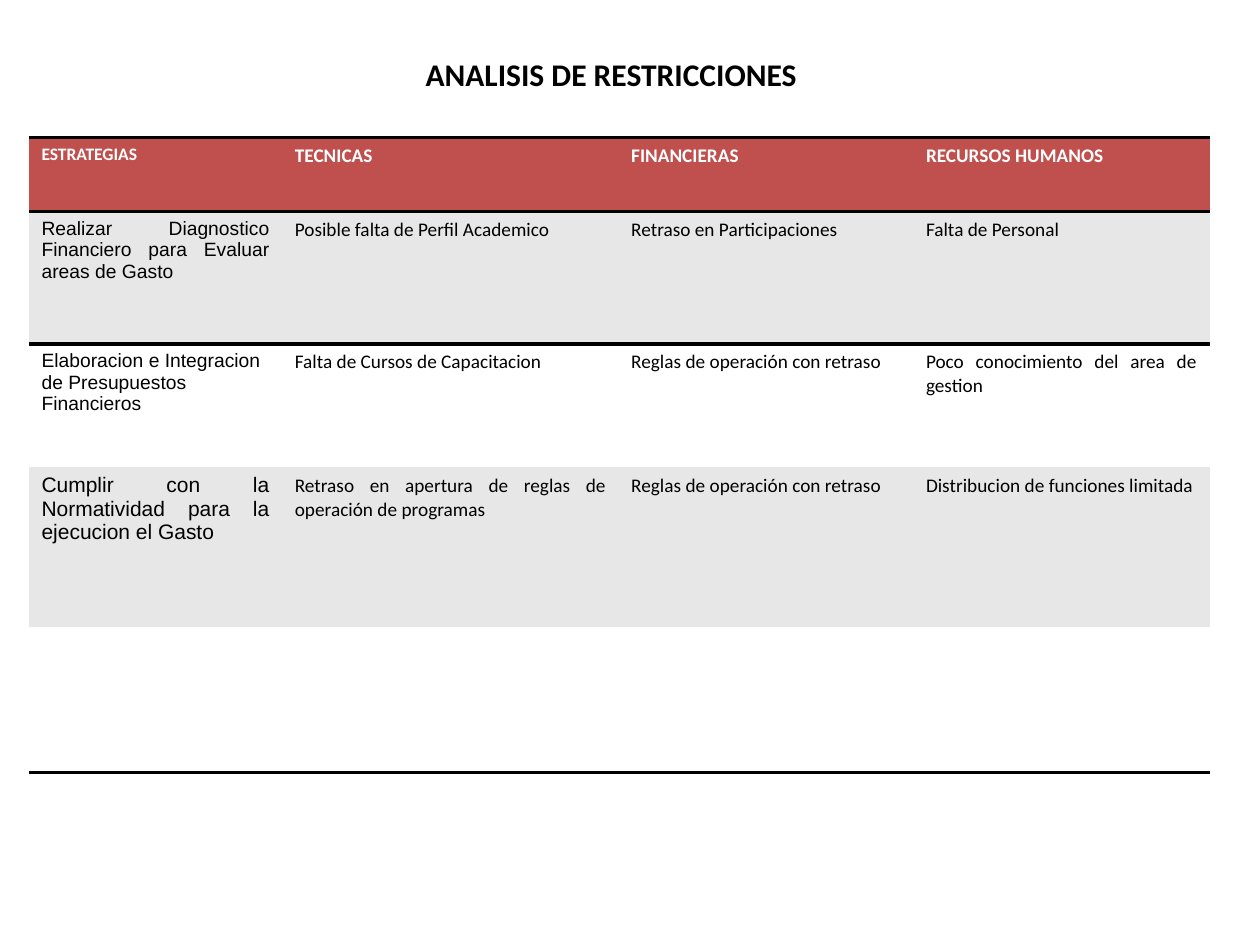
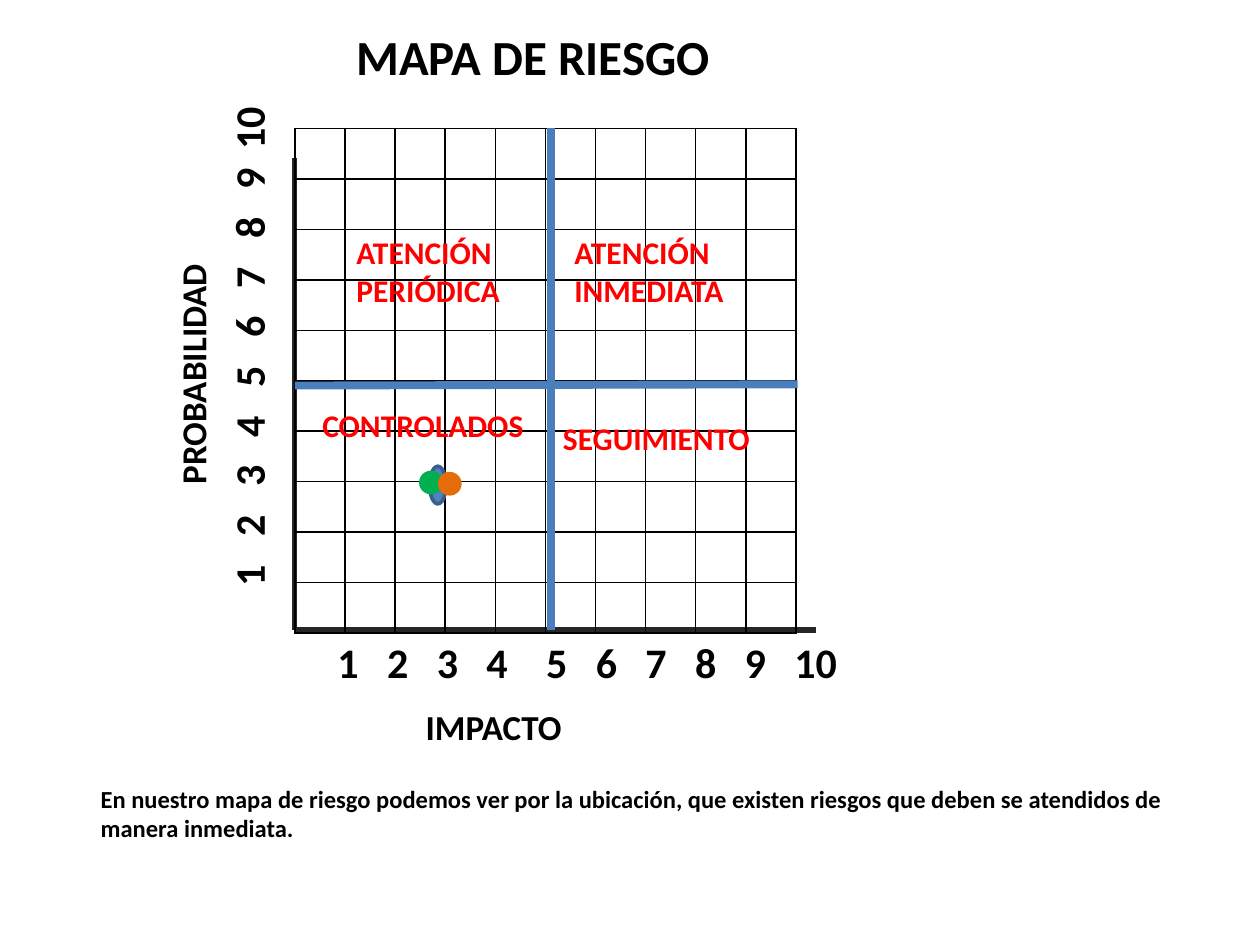
import pptx
import pptx.dml.color
import pptx.enum.shapes
import pptx.enum.text
import pptx.oxml
import pptx.oxml.ns
import pptx.util
import lxml.etree

INK = {
    "black": "000000", "white": "FFFFFF", "head": "C0504D", "band": "E7E7E7",
    "red": "FF0000", "axis": "262626", "cross": "4B7EBC", "blue": "4F81BD",
    "rim": "3A5F8C", "green": "00B050", "orange": "E46C0A",
}
RGB = {name: pptx.dml.color.RGBColor.from_string(code) for name, code in INK.items()}
NONE = "{2D5ABB26-0587-4C30-8999-92F81FD0307C}"
JUST = pptx.enum.text.PP_ALIGN.JUSTIFY
LEFT = pptx.enum.text.PP_ALIGN.LEFT
qn = pptx.oxml.ns.qn

deck = pptx.Presentation()
deck.slide_width = pptx.util.Inches(10)
deck.slide_height = pptx.util.Inches(7.5)
col = deck.slide_width / 100
row = deck.slide_height / 75


def write(text, cell=None, slide=None, at=None, size=18, font="Calibri",
          ink="black", bold=True, align=LEFT, turn=0, tabs=()):
    if cell is None:
        x, y, w, h = at
        box = slide.shapes.add_textbox(int(x * col), int(y * row), int(w * col), int(h * row))
        box.rotation = turn
        frame = box.text_frame
        frame.word_wrap = True
    else:
        frame = cell.text_frame
    for i, line in enumerate(text.split("\n")):
        para = frame.add_paragraph() if i else frame.paragraphs[0]
        para.alignment = align
        if tabs:
            stops = lxml.etree.SubElement(para._p.get_or_add_pPr(), qn("a:tabLst"))
            for stop in tabs:
                lxml.etree.SubElement(stops, qn("a:tab"), pos=str(int(stop * col)), algn="l")
        run = para.add_run()
        run.text = line
        run.font.name = font
        run.font.size = pptx.util.Pt(size)
        run.font.bold = bold
        run.font.color.rgb = RGB[ink]


def edge(cell, sides, width):
    props = cell._tc.get_or_add_tcPr()
    for side in sides:
        line = lxml.etree.SubElement(props, qn("a:ln" + side), w=str(pptx.util.Pt(width)))
        fill = lxml.etree.SubElement(line, qn("a:solidFill"))
        lxml.etree.SubElement(fill, qn("a:srgbClr"), val=INK["black"])


blank = deck.slide_layouts[6]

limits = deck.slides.add_slide(blank)
rows = [
    ["ESTRATEGIAS", "TECNICAS", "FINANCIERAS", "RECURSOS HUMANOS"],
    ["Realizar Diagnostico Financiero para Evaluar areas de Gasto",
     "Posible falta de Perfil Academico", "Retraso en Participaciones", "Falta de Personal"],
    ["Elaboracion e Integracion de Presupuestos Financieros",
     "Falta de Cursos de Capacitacion", "Reglas de operación con retraso",
     "Poco conocimiento del area de gestion"],
    ["Cumplir con la Normatividad para la ejecucion el Gasto",
     "Retraso en apertura de reglas de operación de programas",
     "Reglas de operación con retraso", "Distribucion de funciones limitada"],
    [""] * 4,
]
wide = [20.1, 26.7, 23.4, 23.5]
tall = [5.9, 10.5, 9.8, 12.7, 11.5]
sizes = {(0, 0): 10, (3, 0): 12}
plain = [(2, 0), (2, 1), (3, 3)]
table = limits.shapes.add_table(5, 4, int(2.3 * col), int(10.9 * row),
                                int(sum(wide) * col), int(sum(tall) * row)).table
table._tbl.tblPr[0].text = NONE
for c, w in enumerate(wide):
    table.columns[c].width = int(w * col)
for r, h in enumerate(tall):
    table.rows[r].height = int(h * row)
    for c, text in enumerate(rows[r]):
        cell = table.cell(r, c)
        edge(cell, {0: "TB", 1: "T", 4: "B"}.get(r, ""), 2)
        cell.fill.solid()
        cell.fill.fore_color.rgb = RGB["head" if r == 0 else "band" if r % 2 else "white"]
        if text:
            write(text, cell=cell, size=sizes.get((r, c), 11), bold=r == 0,
                  font="Arial" if r and c == 0 else "Calibri",
                  ink="black" if r else "white",
                  align=LEFT if r == 0 or (r, c) in plain else JUST)
write("ANALISIS DE RESTRICCIONES", slide=limits, at=(32.8, 3.9, 34, 4))

risk = deck.slides.add_slide(blank)
step = 4
left, top = 23.4, 10.2
axes = [(left, 12.5, left, 50), (left, 50, 64.8, 50)]
cross = [(43.7, top, 43.7, 50), (63.3, 30.5, left, 30.6)]


for lines, ink, width in [(axes, "axis", 3), (cross, "cross", 4.5)]:
    if ink == "cross":
        grid = risk.shapes.add_table(10, 10, int(left * col), int(top * row),
                                     int(10 * step * col), int(10 * step * row)).table
        grid._tbl.tblPr[0].text = NONE
        for n in range(10):
            grid.columns[n].width = int(3.98 * col)
            grid.rows[n].height = int(step * row)
        for cell in grid.iter_cells():
            edge(cell, "LRTB", 1)
            cell.fill.background()
        for x, y, w, h, fill, rim in [
            (34.1, 37, 1.3, 3, "blue", "rim"),
            (33.4, 37.5, 1.6, 1.6, "green", "green"),
            (34.9, 37.6, 1.6, 1.6, "orange", "orange"),
        ]:
            dot = risk.shapes.add_shape(pptx.enum.shapes.MSO_SHAPE.OVAL, int(x * col),
                                        int(y * row), int(w * col), int(h * row))
            dot.shadow.inherit = False
            dot.fill.solid()
            dot.fill.fore_color.rgb = RGB[fill]
            dot.line.color.rgb = RGB[rim]
            dot.line.width = pptx.util.Pt(2)
    for x, y, far, low in lines:
        line = risk.shapes.add_connector(pptx.enum.shapes.MSO_CONNECTOR.STRAIGHT, int(x * col),
                                         int(y * row), int(far * col), int(low * row))
        line.line.color.rgb = RGB[ink]
        line.line.width = pptx.util.Pt(width)
        lxml.etree.SubElement(line._element.spPr, qn("a:effectLst"))

marks = "\t".join(str(n) for n in range(1, 11))
gap = 3.94
write("MAPA DE RIESGO", slide=risk, at=(27.3, 1.6, 32.5, 5.7), size=28)
write("PROBABILIDAD", slide=risk, at=(5.2, 27.1, 20.2, 4.4), size=20, turn=270)
write("IMPACTO", slide=risk, at=(32.8, 55.5, 16.4, 5), size=20)
write("\t" + marks, slide=risk, at=(-1.8, 26, 43, 5), size=24, turn=270,
      tabs=[2.5 + n * gap - 0.8 * (n == 9) for n in range(10)])
write(marks, slide=risk, at=(25.8, 50, 43.8, 5), size=24,
      tabs=[n * gap + 0.8 * (n > 3) for n in range(1, 10)])
write("En nuestro mapa de riesgo podemos ver por la ubicación, que existen riesgos "
      "que deben se atendidos de manera inmediata.",
      slide=risk, at=(7, 61.7, 89.1, 5.7), size=14)
for text, x, y, w, h in [
    ("ATENCIÓN\nPERIÓDICA", 27.3, 18, 15, 7.1),
    ("ATENCIÓN\nINMEDIATA", 44.6, 18, 15, 7.1),
    ("CONTROLADOS", 24.6, 31.7, 20, 4),
    ("SEGUIMIENTO", 43.7, 32.8, 18, 4),
]:
    write(text, slide=risk, at=(x, y, w, h), ink="red")

deck.save("out.pptx")
